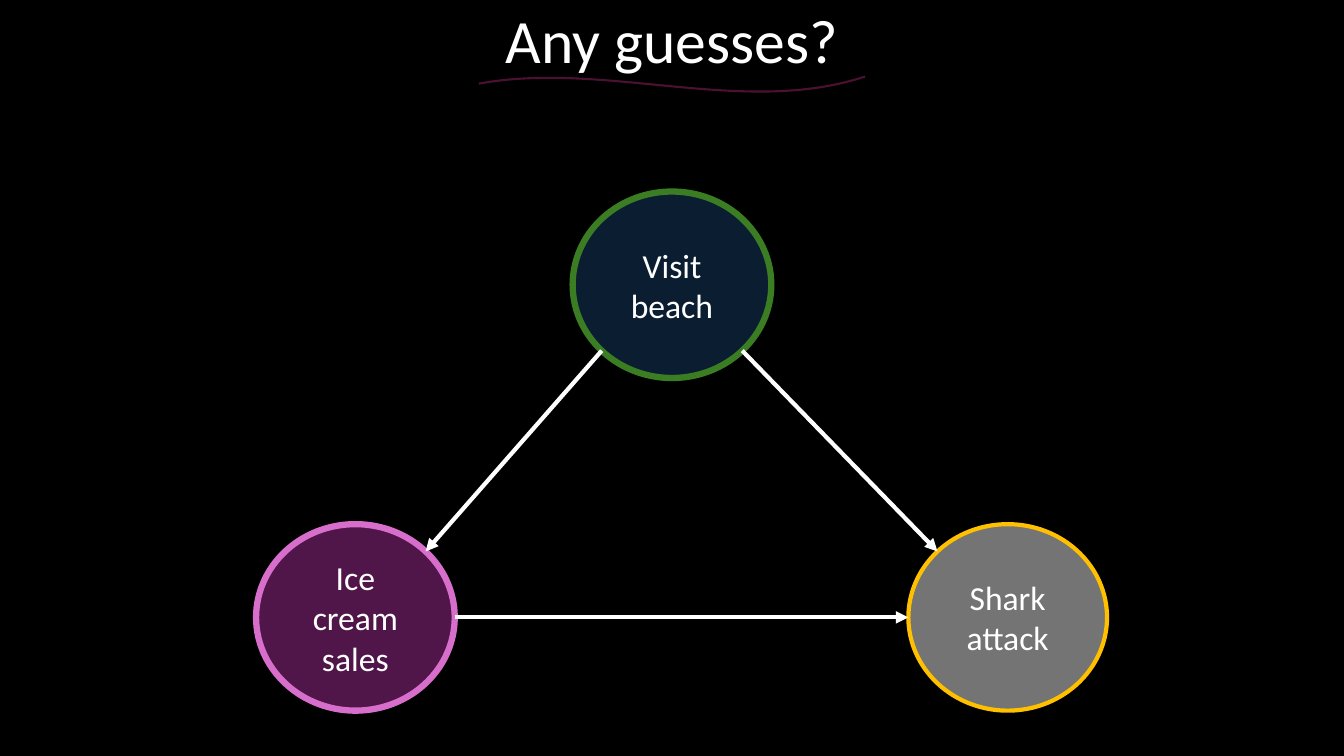
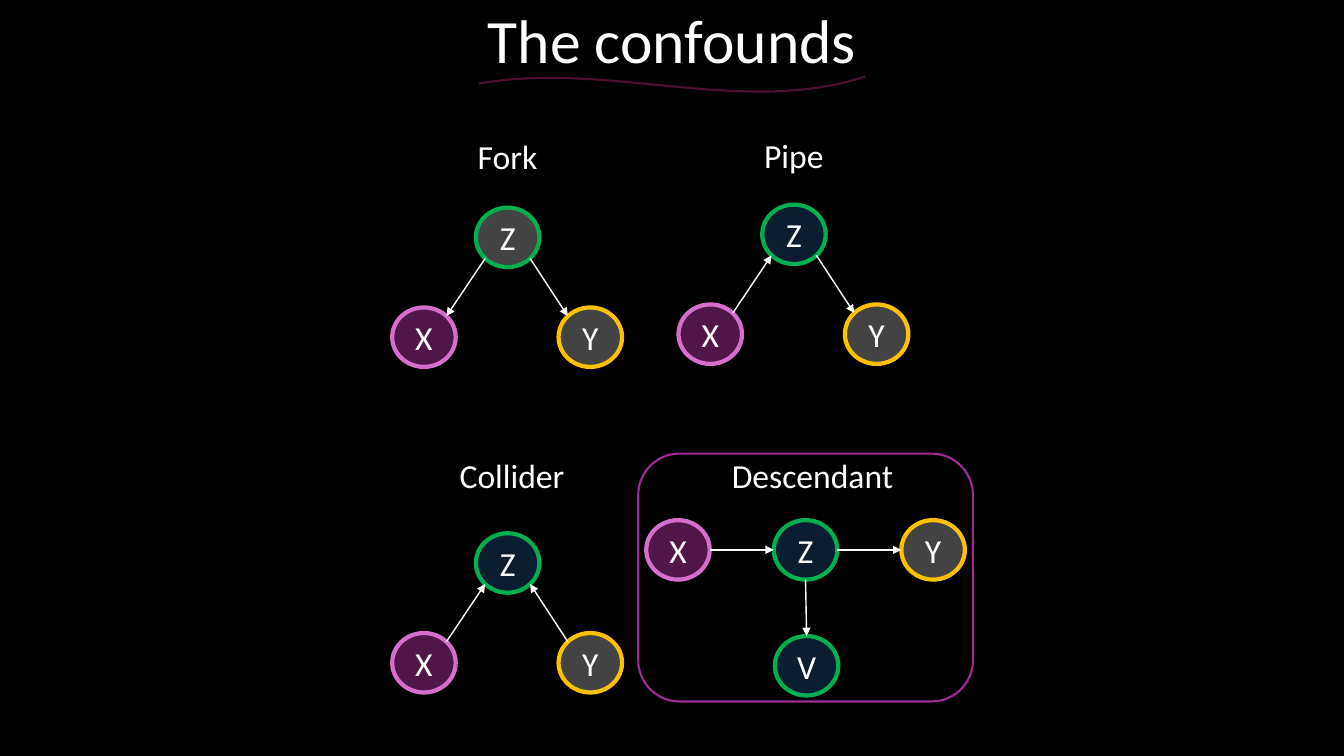
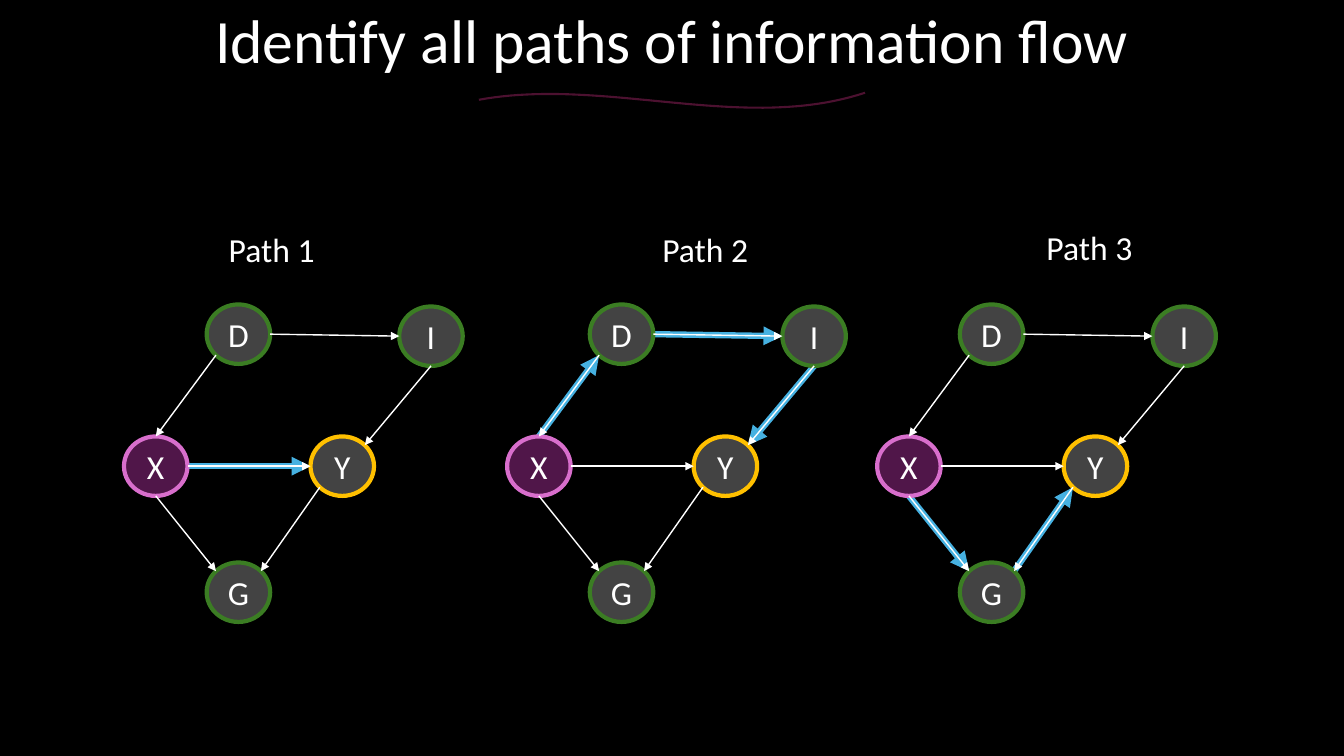
"""Build three slides of causal diagrams on a black background."""
from dataclasses import dataclass
from math import sqrt

from lxml.etree import SubElement
from pptx import Presentation
from pptx.dml.color import RGBColor
from pptx.enum.shapes import MSO_CONNECTOR as Conn, MSO_SHAPE as Shp
from pptx.enum.text import MSO_ANCHOR as Anchor, MSO_AUTO_SIZE as AutoSize, PP_ALIGN as Align
from pptx.oxml.ns import qn
from pptx.util import Inches, Pt


@dataclass(frozen=True)
class Theme:
    font: str = "Calibri"
    title_pt: float = 44
    body_pt: float = 24
    thin_pt: float = 1
    rule_pt: float = 1.5
    ring_pt: float = 3
    bold_pt: float = 4.5
    black: str = "000000"
    white: str = "FFFFFF"
    rule: str = "4C1130"
    frame: str = "A02B93"
    flow: str = "46B1E1"
    navy: str = "0B1E31"
    plum: str = "501649"
    gray: str = "434343"
    light_gray: str = "747474"
    orchid: str = "D86ECC"
    gold: str = "FFC000"
    green: str = "00B050"
    leaf: str = "3B7D23"


T = Theme()


@dataclass(frozen=True)
class Style:
    fill: str
    ring: str
    ring_pt: float = T.ring_pt


@dataclass(frozen=True)
class Node:
    text: str
    x: float
    y: float
    style: Style
    w: float = 0.63
    h: float = 0.59


@dataclass(frozen=True)
class Link:
    start: str
    start_site: int
    end: str
    end_site: int


@dataclass(frozen=True)
class Label:
    text: str
    x: float
    y: float
    w: float


@dataclass(frozen=True)
class Graph:
    nodes: list[Node]
    links: list[Link]
    label: Label | None = None
    flows: tuple[Link, ...] = ()
    link_pt: float = T.thin_pt


TOP, TOP_LEFT, LEFT, BOTTOM_LEFT, BOTTOM, BOTTOM_RIGHT, RIGHT, TOP_RIGHT = range(8)
DIAG = sqrt(0.5)
SITES = [(0, -1), (-DIAG, -DIAG), (-1, 0), (-DIAG, DIAG),
         (0, 1), (DIAG, DIAG), (1, 0), (DIAG, -DIAG)]

CAUSE = Style(T.plum, T.orchid)
EFFECT = Style(T.gray, T.gold)
OPEN_Z = Style(T.navy, T.green)
HELD_Z = Style(T.gray, T.green)
OTHER = Style(T.gray, T.leaf)


def rgb(value: str) -> RGBColor:
    """Return a colour from its hex value."""
    return RGBColor.from_string(value)


def set_line(shape, color: str, pt: float) -> None:
    """Set the colour and width of an outline."""
    shape.line.color.rgb = rgb(color)
    shape.line.width = Pt(pt)


def add_run(p, text: str, pt: float) -> None:
    """Add a white run to a paragraph."""
    r = p.add_run()
    r.text = text
    r.font.name, r.font.size = T.font, Pt(pt)
    r.font.color.rgb = rgb(T.white)


def add_node(shapes, node: Node):
    """Draw a ringed ellipse with centred text."""
    sp = shapes.add_shape(Shp.OVAL, *map(Inches, (node.x, node.y, node.w, node.h)))
    sp.shadow.inherit = False
    sp.fill.solid()
    sp.fill.fore_color.rgb = rgb(node.style.fill)
    set_line(sp, node.style.ring, node.style.ring_pt)
    tf = sp.text_frame
    tf.word_wrap, tf.vertical_anchor = True, Anchor.MIDDLE
    p = tf.paragraphs[0]
    p.alignment = Align.CENTER
    add_run(p, node.text, T.body_pt)
    return sp


def site_point(node: Node, site: int) -> tuple[int, int]:
    """Locate a connection site on the rim of a node."""
    dx, dy = SITES[site]
    return Inches(node.x + node.w / 2 * (1 + dx)), Inches(node.y + node.h / 2 * (1 + dy))


def add_arrow(shapes, a: Node, a_site: int, b: Node, b_site: int, color: str, pt: float):
    """Draw a straight arrow between two node sites."""
    cx = shapes.add_connector(Conn.STRAIGHT, *site_point(a, a_site), *site_point(b, b_site))
    set_line(cx, color, pt)
    sp_pr = cx.element.spPr
    SubElement(sp_pr.find(qn("a:ln")), qn("a:tailEnd"), type="triangle")
    SubElement(sp_pr, qn("a:effectLst"))
    return cx


def glue(cx, tag: str, sp, site: int) -> None:
    """Attach one end of a connector to a shape."""
    SubElement(cx.element.nvCxnSpPr.cNvCxnSpPr, qn(tag), id=str(sp.shape_id), idx=str(site))


def add_label(shapes, label: Label) -> None:
    """Draw the caption of a graph."""
    tb = shapes.add_textbox(*map(Inches, (label.x, label.y, label.w, 0.5)))
    tb.text_frame.word_wrap = False
    tb.text_frame.auto_size = AutoSize.SHAPE_TO_FIT_TEXT
    add_run(tb.text_frame.paragraphs[0], label.text, T.body_pt)


def add_graph(s, graph: Graph) -> None:
    """Draw a graph as one group, with flows behind its nodes."""
    shapes = s.shapes.add_group_shape().shapes
    nodes = {n.text: n for n in graph.nodes}

    def arrow(link: Link, color: str, pt: float):
        """Draw one link of this graph."""
        return add_arrow(shapes, nodes[link.start], link.start_site,
                         nodes[link.end], link.end_site, color, pt)

    for flow in graph.flows:
        arrow(flow, T.flow, T.bold_pt)
    drawn = {n.text: add_node(shapes, n) for n in graph.nodes}
    for link in graph.links:
        cx = arrow(link, T.white, graph.link_pt)
        glue(cx, "a:stCxn", drawn[link.start], link.start_site)
        glue(cx, "a:endCxn", drawn[link.end], link.end_site)
    if graph.label:
        add_label(shapes, graph.label)


def add_rule(s, top: float) -> None:
    """Draw the wavy rule under the title."""
    curve = [(4.75, top + 0.07), (6.01, top - 0.16), (7.37, top + 0.4), (8.58, top)]
    steps = 48
    points = []
    for i in range(steps + 1):
        t = i / steps
        weights = ((1 - t) ** 3, 3 * t * (1 - t) ** 2, 3 * t * t * (1 - t), t ** 3)
        points.append(tuple(Inches(sum(k * c[axis] for k, c in zip(weights, curve)))
                            for axis in (0, 1)))
    fb = s.shapes.build_freeform(*points[0])
    fb.add_line_segments(points[1:], close=False)
    sp = fb.convert_to_shape()
    sp.shadow.inherit = False
    sp.fill.background()
    set_line(sp, T.rule, T.rule_pt)


def add_slide(prs, title: str, graphs: list[Graph], title_h: float = 0.84, rule_top: float = 0.76):
    """Add a black slide with a title, its rule and its graphs."""
    s = prs.slides.add_slide(prs.slide_layouts[6])
    s.background.fill.solid()
    s.background.fill.fore_color.rgb = rgb(T.black)
    tf = s.shapes.add_textbox(0, 0, prs.slide_width, Inches(title_h)).text_frame
    tf.word_wrap = True
    tf.margin_left = tf.margin_right = tf.margin_top = tf.margin_bottom = Inches(0.1)
    p = tf.paragraphs[0]
    p.alignment, p.line_spacing = Align.CENTER, 0.9
    add_run(p, title, T.title_pt)
    add_rule(s, rule_top)
    for graph in graphs:
        add_graph(s, graph)
    return s


def beach_graph() -> Graph:
    """Return the beach example."""
    size = (1.97, 1.85)
    shark, ice, beach = "Shark attack", "Ice cream sales", "Visit beach"
    return Graph(
        [Node(shark, 9.01, 5.2, Style(T.light_gray, T.gold), *size),
         Node(ice, 2.54, 5.2, Style(T.plum, T.orchid, T.bold_pt), *size),
         Node(beach, 5.68, 1.9, Style(T.navy, T.leaf, T.bold_pt), *size)],
        [Link(ice, RIGHT, shark, LEFT),
         Link(beach, BOTTOM_LEFT, ice, TOP_RIGHT),
         Link(beach, BOTTOM_RIGHT, shark, TOP_LEFT)],
        link_pt=T.ring_pt)


def triangle(x: float, y: float, z_style: Style, label: Label, links: list[Link]) -> Graph:
    """Return a graph with Z above X and Y."""
    return Graph([Node("Y", x + 0.82, y + 0.99, EFFECT), Node("X", x - 0.83, y + 0.99, CAUSE),
                  Node("Z", x, y, z_style)], links, label)


def confound_graphs() -> list[Graph]:
    """Return the four elemental confounds."""
    z_to_x = Link("Z", BOTTOM_LEFT, "X", TOP_RIGHT)
    x_to_z = Link("X", TOP_RIGHT, "Z", BOTTOM_LEFT)
    z_to_y = Link("Z", BOTTOM_RIGHT, "Y", TOP_LEFT)
    y_to_z = Link("Y", TOP_LEFT, "Z", BOTTOM_RIGHT)
    row, step = 5.16, 1.265
    x, z, y = (6.41 + step * i for i in range(3))
    descendant = Graph(
        [Node("Y", y, row, EFFECT), Node("X", x, row, CAUSE),
         Node("Z", z, row, OPEN_Z), Node("V", z + 0.01, 6.31, OPEN_Z)],
        [Link("X", RIGHT, "Z", LEFT), Link("Z", RIGHT, "Y", LEFT), Link("Z", BOTTOM, "V", TOP)],
        Label("Descendant", 7.16, 4.46, 1.97))
    return [
        triangle(7.56, 2.03, OPEN_Z, Label("Pipe", 7.48, 1.29, 0.86), [z_to_y, x_to_z]),
        triangle(4.72, 2.06, HELD_Z, Label("Fork", 4.64, 1.3, 0.9), [z_to_x, z_to_y]),
        triangle(4.72, 5.29, OPEN_Z, Label("Collider", 4.46, 4.46, 1.38), [x_to_z, y_to_z]),
        descendant]


def path_graph(x: float, label: Label, *flows: Link) -> Graph:
    """Return the five-node graph with D at x and some flows marked."""
    y = 3.02
    return Graph(
        [Node("D", x, y, OTHER), Node("G", x, y + 2.56, OTHER),
         Node("Y", x + 1.03, y + 1.31, EFFECT), Node("X", x - 0.82, y + 1.31, CAUSE),
         Node("I", x + 1.91, y + 0.02, OTHER)],
        [Link("D", BOTTOM_LEFT, "X", TOP), Link("Y", BOTTOM_LEFT, "G", TOP_RIGHT),
         Link("X", RIGHT, "Y", LEFT), Link("I", BOTTOM, "Y", TOP_RIGHT),
         Link("D", RIGHT, "I", LEFT), Link("X", BOTTOM, "G", TOP_LEFT)],
        label, flows)


def flow_graphs() -> list[Graph]:
    """Return the three paths of information flow."""
    return [
        path_graph(2.05, Label("Path 1", 2.17, 2.22, 1.09), Link("X", RIGHT, "Y", LEFT)),
        path_graph(5.85, Label("Path 2", 6.47, 2.22, 1.15),
                   Link("D", RIGHT, "I", LEFT), Link("I", BOTTOM, "Y", TOP_RIGHT),
                   Link("X", TOP, "D", BOTTOM_LEFT)),
        path_graph(9.52, Label("Path 3", 10.28, 2.2, 1.16),
                   Link("G", TOP_RIGHT, "Y", BOTTOM_LEFT), Link("X", BOTTOM, "G", TOP_LEFT))]


def add_frame(s) -> None:
    """Frame the descendant graph."""
    sp = s.shapes.add_shape(Shp.ROUNDED_RECTANGLE, *map(Inches, (6.33, 4.5, 3.32, 2.46)))
    sp.shadow.inherit = False
    sp.fill.background()
    set_line(sp, T.frame, T.rule_pt)


def main() -> None:
    """Build and save the presentation."""
    prs = Presentation()
    prs.slide_width, prs.slide_height = Inches(13.33), Inches(7.5)
    add_slide(prs, "Any guesses?", [beach_graph()])
    add_frame(add_slide(prs, "The confounds", confound_graphs()))
    add_slide(prs, "Identify all paths of information flow", flow_graphs(), 1.47, 0.92)
    prs.save("out.pptx")


if __name__ == "__main__":
    main()
